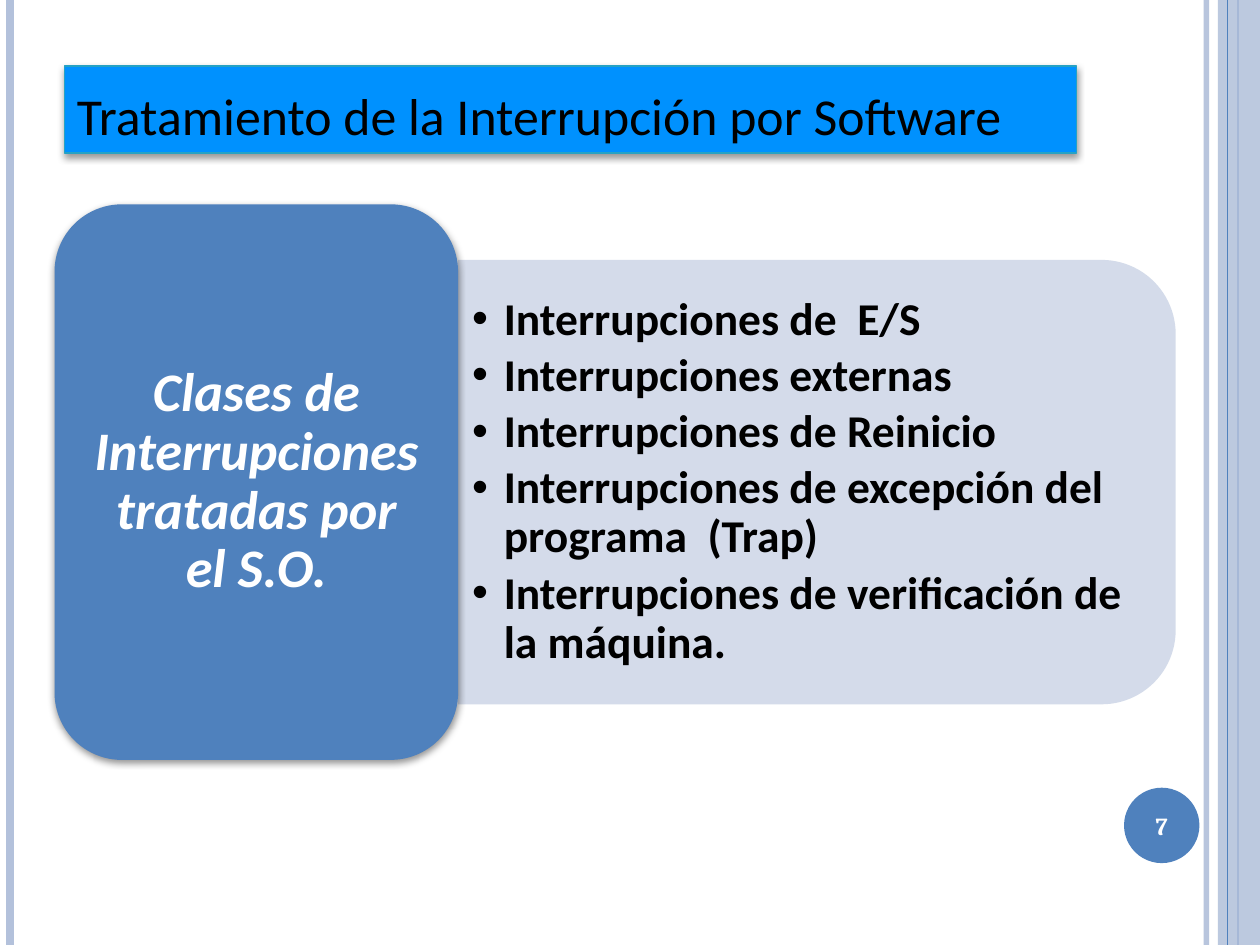
import lxml.etree
import pptx
import pptx.dml.color
import pptx.enum.shapes
import pptx.enum.text
import pptx.oxml.ns
import pptx.util

Cm = pptx.util.Cm
Pt = pptx.util.Pt
qn = pptx.oxml.ns.qn
SHAPES = pptx.enum.shapes.MSO_SHAPE
ANCHOR = pptx.enum.text.MSO_ANCHOR
ALIGN = pptx.enum.text.PP_ALIGN

COLOURS = {
    "accent": "4F81BD",
    "pale": "B3C1DB",
    "panel": "D0D8E8",
    "title": "0091FE",
    "title_line": "26A2C4",
    "black": "000000",
    "white": "FFFFFF",
}
WIDTH, HEIGHT = 25.4, 19.05
CLASSES = [
    "Interrupciones de  E/S",
    "Interrupciones externas",
    "Interrupciones de Reinicio",
    "Interrupciones de excepción del programa  (Trap)",
    "Interrupciones de verificación de la máquina.",
]


def colour(name):
    """Return the named colour."""
    return pptx.dml.color.RGBColor.from_string(COLOURS[name])


def set_opacity(shape, percent):
    """Make the first colour of a shape or line partly transparent."""
    element = next(shape._element.spPr.iter(qn("a:srgbClr")))
    lxml.etree.SubElement(element, qn("a:alpha"), val=str(percent * 1000))


def add_shadow(shape, distance, opacity):
    """Give the shape a soft shadow straight below it."""
    shape.shadow.inherit = False
    effects = shape._element.spPr.find(qn("a:effectLst"))
    shadow = lxml.etree.SubElement(
        effects, qn("a:outerShdw"), blurRad=str(Pt(4)), dist=str(Pt(distance)),
        dir="5400000", rotWithShape="0")
    black = lxml.etree.SubElement(shadow, qn("a:srgbClr"), val=COLOURS["black"])
    lxml.etree.SubElement(black, qn("a:alpha"), val=str(opacity * 1000))


def add_filled_shape(slide, kind, box, fill):
    """Add a preset shape with a plain fill and no outline."""
    shape = slide.shapes.add_shape(kind, *map(Cm, box))
    shape.fill.solid()
    shape.fill.fore_color.rgb = colour(fill)
    shape.line.fill.background()
    shape.shadow.inherit = False
    return shape


def write_text(shape, paragraphs, size, color, font="Calibri", bold=False, italic=False,
               align=ALIGN.LEFT, anchor=ANCHOR.MIDDLE, insets=(0.25, 0.13),
               spacing=None, after=0, bullet_indent=None):
    """Fill a shape with formatted paragraphs."""
    frame = shape.text_frame
    frame.word_wrap = True
    frame.auto_size = pptx.enum.text.MSO_AUTO_SIZE.NONE
    frame.vertical_anchor = anchor
    frame.margin_left = frame.margin_right = Cm(insets[0])
    frame.margin_top = frame.margin_bottom = Cm(insets[1])
    for index, text in enumerate(paragraphs):
        paragraph = frame.add_paragraph() if index else frame.paragraphs[0]
        if bullet_indent:
            properties = paragraph._p.get_or_add_pPr()
            properties.set("marL", str(Cm(bullet_indent)))
            properties.set("indent", str(-Cm(bullet_indent)))
            lxml.etree.SubElement(properties, qn("a:buFont"), typeface="Arial")
            lxml.etree.SubElement(properties, qn("a:buChar"), char="•")
        paragraph.alignment = align
        paragraph.line_spacing = spacing
        paragraph.space_after = Pt(after)
        run = paragraph.add_run()
        run.text = text
        run.font.name = font
        run.font.size = Pt(size)
        run.font.bold = bold
        run.font.italic = italic
        run.font.color.rgb = colour(color)


def add_rule(slide, x, width, line_colour):
    """Add a vertical rule over the full slide height and return it."""
    rule = slide.shapes.add_connector(
        pptx.enum.shapes.MSO_CONNECTOR.STRAIGHT, Cm(x), 0, Cm(x), Cm(HEIGHT))
    rule.line.color.rgb = colour(line_colour)
    rule.line.width = Pt(width)
    lxml.etree.SubElement(rule._element.spPr, qn("a:effectLst"))
    return rule


def add_side_rules(slide, band_width):
    """Decorate both edges with rules and the right edge with a band."""
    left = WIDTH - band_width
    set_opacity(add_rule(slide, left - 0.23, 3, "pale"), 93)
    add_rule(slide, 0.2, 4.5, "pale")
    add_rule(slide, left + 0.41, 1.5, "accent")
    band = add_filled_shape(slide, SHAPES.RECTANGLE, (left, 0, band_width, HEIGHT), "pale")
    set_opacity(band, 87)
    add_rule(slide, left + 0.2, 0.75, "accent")


def add_title(slide, box, text):
    """Place and format the title placeholder."""
    title = slide.shapes.title
    title.left, title.top, title.width, title.height = map(Cm, box)
    title.fill.solid()
    title.fill.fore_color.rgb = colour("title")
    title.line.color.rgb = colour("title_line")
    title.line.width = Pt(1)
    add_shadow(title, distance=2, opacity=40)
    write_text(title, [text], size=29.6, color="black", anchor=ANCHOR.BOTTOM)


def add_class_diagram(slide, box, heading, items):
    """Draw the heading block and the panel of bullets to its right."""
    left, top, width, height = box
    head_width = 0.36 * width
    panel_left, panel_top = left + head_width, top + 0.1 * height
    panel_width, panel_height = width - head_width, 0.8 * height

    shift = (panel_width - panel_height) / 2
    panel = add_filled_shape(
        slide, SHAPES.ROUND_2_SAME_RECTANGLE,
        (panel_left + shift, panel_top - shift, panel_height, panel_width), "panel")
    panel.rotation = 90
    set_opacity(panel, 90)

    bullets = slide.shapes.add_textbox(
        *map(Cm, (panel_left, panel_top + 0.44, panel_width - 0.44, panel_height - 0.88)))
    write_text(bullets, items, size=26, color="black", bold=True, insets=(0.28, 0.13),
               spacing=0.9, after=4, bullet_indent=0.64)

    head = add_filled_shape(
        slide, SHAPES.ROUNDED_RECTANGLE, (left, top, head_width, height), "accent")
    add_shadow(head, distance=1.6, opacity=42)
    write_text(head, [heading], size=31, color="white", bold=True, italic=True,
               align=ALIGN.CENTER, insets=(0.33, 0.15), spacing=0.9)


def add_page_badge(slide, box, number):
    """Draw the round page number."""
    badge = add_filled_shape(slide, SHAPES.OVAL, box, "accent")
    write_text(badge, [number], size=14, color="white", font="Cambria", bold=True,
               align=ALIGN.CENTER, insets=(0, 0))


def main():
    """Build and save the slide."""
    presentation = pptx.Presentation()
    presentation.slide_width, presentation.slide_height = Cm(WIDTH), Cm(HEIGHT)
    slide = presentation.slides.add_slide(presentation.slide_layouts[5])
    add_side_rules(slide, 0.85)
    add_class_diagram(slide, (1.1, 4.12, 22.6, 11.2),
                      "Clases de Interrupciones tratadas por el S.O.", CLASSES)
    add_title(slide, (1.3, 1.33, 20.4, 1.75), "Tratamiento de la Interrupción por Software")
    add_page_badge(slide, (22.66, 15.88, 1.52, 1.52), "7")
    presentation.save("out.pptx")


if __name__ == "__main__":
    main()
